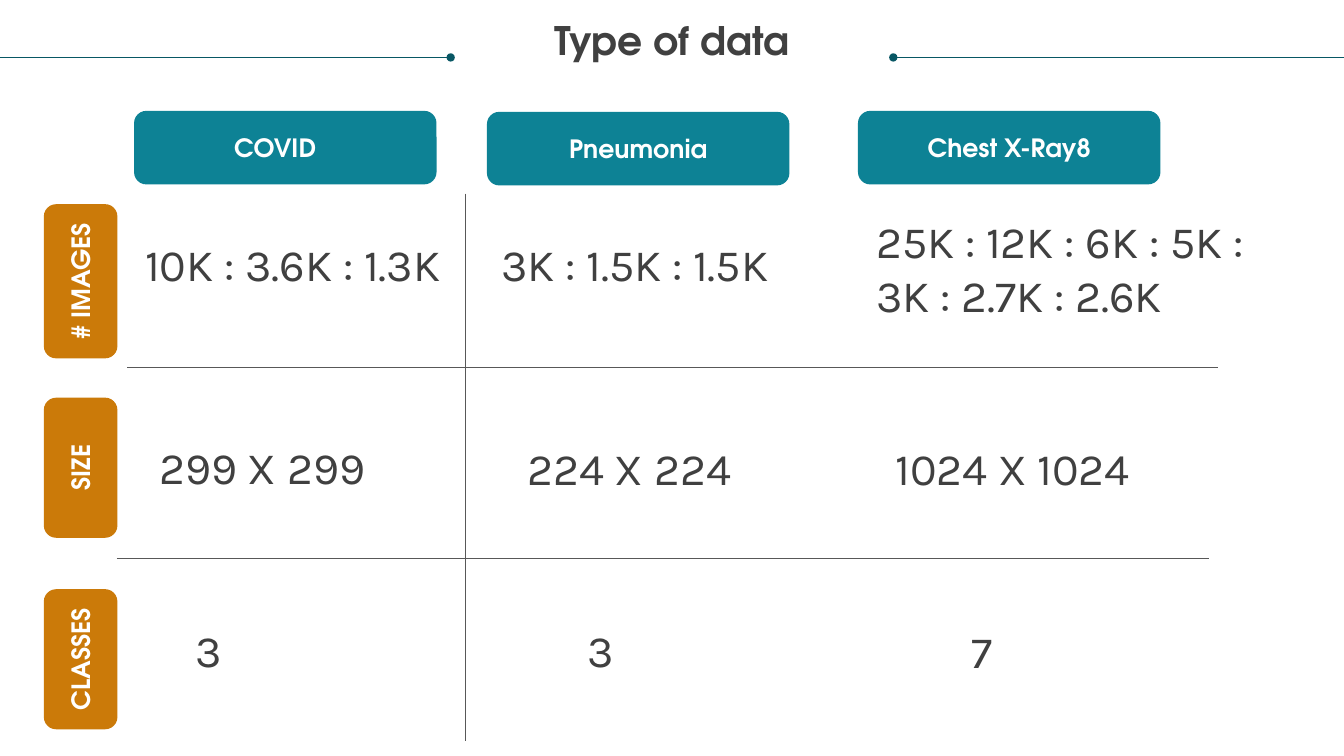
from lxml import etree
from pptx import Presentation
from pptx.dml.color import RGBColor
from pptx.enum.shapes import MSO_CONNECTOR, MSO_SHAPE
from pptx.enum.text import MSO_ANCHOR, MSO_AUTO_SIZE, PP_ALIGN
from pptx.oxml.ns import qn
from pptx.util import Emu, Pt

STRAIGHT = MSO_CONNECTOR.STRAIGHT
ROUNDED = MSO_SHAPE.ROUNDED_RECTANGLE
LEFT, CENTER = PP_ALIGN.LEFT, PP_ALIGN.CENTER
TOP, MIDDLE = MSO_ANCHOR.TOP, MSO_ANCHOR.MIDDLE
GROW = MSO_AUTO_SIZE.SHAPE_TO_FIT_TEXT
EMU_PER_PX = 9144  # 100 px to the inch

HEADING_FONT, VALUE_FONT = "TeX Gyre Adventor", "Karla"
TEAL, DARK_TEAL, ORANGE = "0D8295", "085764", "CB7A09"
WHITE, TEXT_GRAY, LINE_GRAY = "FFFFFF", "404040", "585858"

# Content
TITLE = "Type of data"
SLIDE_WIDTH, SLIDE_HEIGHT = 1333, 750
LABEL_THICKNESS = 73
HEADING_WIDTH = 300
# text, left, top, right inset
HEADINGS = [("COVID", 133, 110, 30), ("Pneumonia", 483, 111, 10),
            ("Chest X-Ray8", 851, 110, 10)]
# text, centre x, centre y, length
ROW_LABELS = [("# IMAGES", 80, 279, 153), ("SIZE", 80, 464, 139),
              ("CLASSES", 80, 654, 139)]
# text, left, top, width, lines
VALUES = [
    ("10K : 3.6K : 1.3K", 144, 235, 303, 1),
    ("3K : 1.5K : 1.5K", 497, 235, 303, 1),
    ("25K : 12K : 6K : 5K : 3K : 2.7K : 2.6K", 869, 212, 381, 2),
    ("299 X 299", 158, 436, 303, 1),
    ("224 X 224", 523, 437, 303, 1),
    ("1024 X 1024", 888, 437, 303, 1),
    ("3", 194, 618, 267, 1),
    ("3", 583, 618, 259, 1),
    ("7", 964, 619, 243, 1),
]
VALUE_LINE_HEIGHT = 54
# start x, start y, end x, end y
GRID_LINES = [(126, 364, 1208, 364), (116, 554, 1199, 554),
              (462, 192, 462, 735)]
TITLE_LINES = [(0, 57, 447, 57), (SLIDE_WIDTH, 57, 886, 57)]


def px(length):
    return Emu(round(length * EMU_PER_PX))


def color(hex_string):
    return RGBColor.from_string(hex_string)


def write(shape, text, *, size, font, fill, bold=False, align=LEFT,
          anchor=TOP, insets=(0, 0, 0, 0), spacing=1.0):
    frame = shape.text_frame
    frame.word_wrap = True
    frame.vertical_anchor = anchor
    (frame.margin_left, frame.margin_top,
     frame.margin_right, frame.margin_bottom) = map(px, insets)
    paragraph = frame.paragraphs[0]
    paragraph.alignment = align
    paragraph.line_spacing = spacing
    run = paragraph.add_run()
    run.text = text
    run.font.size = Pt(size)
    run.font.name = font
    run.font.bold = bold
    run.font.color.rgb = color(fill)


def add_text(slide, text, box, **text_format):
    shape = slide.shapes.add_textbox(*map(px, box))
    write(shape, text, **text_format)
    shape.text_frame.auto_size = GROW


def add_label(slide, text, box, fill, rotation=0, right_inset=10):
    shape = slide.shapes.add_shape(ROUNDED, *map(px, box))
    shape.shadow.inherit = False
    shape.fill.solid()
    shape.fill.fore_color.rgb = color(fill)
    shape.line.fill.background()
    shape.rotation = rotation
    write(shape, text, size=18, font=HEADING_FONT, fill=WHITE, bold=True,
          align=CENTER, anchor=MIDDLE, insets=(10, 5, right_inset, 5))


def add_line(slide, ends, stroke, dot_at_end=False):
    line = slide.shapes.add_connector(STRAIGHT, *map(px, ends))
    line.line.width = Pt(0.5)
    line.line.color.rgb = color(stroke)
    properties = line.element.spPr
    if dot_at_end:
        outline = properties.find(qn("a:ln"))
        etree.SubElement(outline, qn("a:tailEnd"), type="oval")
    etree.SubElement(properties, qn("a:effectLst"))


def main():
    presentation = Presentation()
    presentation.slide_width = px(SLIDE_WIDTH)
    presentation.slide_height = px(SLIDE_HEIGHT)
    slide = presentation.slides.add_slide(presentation.slide_layouts[6])

    # Title between two dotted lines
    add_text(slide, TITLE, (25, 21, 1283, 73), size=28, font=HEADING_FONT,
             fill=TEXT_GRAY, bold=True, align=CENTER, spacing=0.9)
    for ends in TITLE_LINES:
        add_line(slide, ends, DARK_TEAL, dot_at_end=True)

    # Column headings and turned row labels
    for text, left, top, right_inset in HEADINGS:
        add_label(slide, text, (left, top, HEADING_WIDTH, LABEL_THICKNESS),
                  TEAL, right_inset=right_inset)
    for text, center_x, center_y, length in ROW_LABELS:
        box = (center_x - length / 2, center_y - LABEL_THICKNESS / 2,
               length, LABEL_THICKNESS)
        add_label(slide, text, box, ORANGE, rotation=270)

    # Grid lines and values
    for ends in GRID_LINES:
        add_line(slide, ends, LINE_GRAY)
    for text, left, top, width, lines in VALUES:
        add_text(slide, text, (left, top, width, lines * VALUE_LINE_HEIGHT),
                 size=32, font=VALUE_FONT, fill=TEXT_GRAY)

    presentation.save("out.pptx")


if __name__ == "__main__":
    main()
